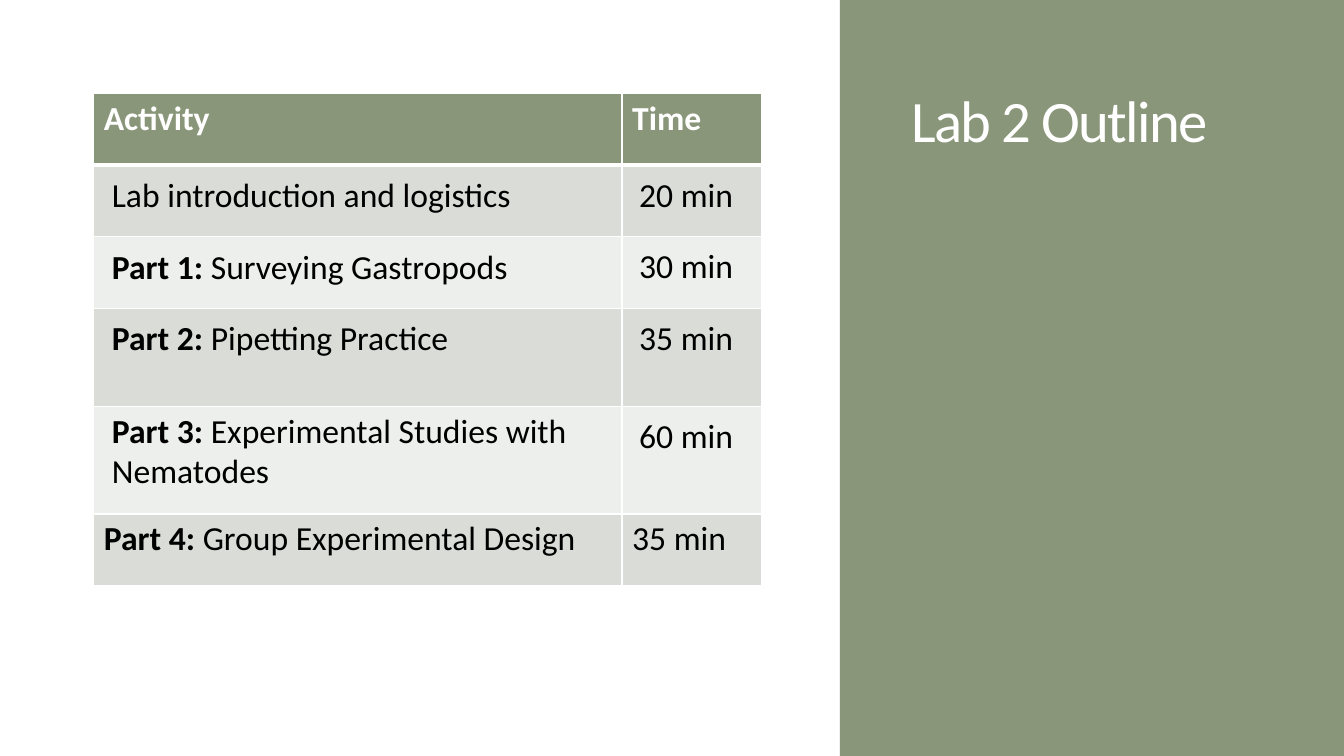
import pptx
import pptx.util
import pptx.dml.color
import pptx.enum.shapes
import pptx.enum.text
import pptx.oxml
import pptx.oxml.ns

TITLE = "Lab 2 Outline"
HEAD = ("Activity", "Time")
# bold lead, activity, time, row height, indent, line spacing of each column
ROWS = [
    ("", "Lab introduction and logistics", "20 min", 0.71, (0.08, 0.07), (1.13, 1.13)),
    ("Part 1: ", "Surveying Gastropods", "30 min", 0.71, (0.08, 0.07), (1.13, 1.12)),
    ("Part 2: ", "Pipetting Practice", "35 min", 0.97, (0.08, 0.07), (1.13, 1.12)),
    ("Part 3: ", "Experimental Studies with Nematodes", "60 min", 1.07, (0.08, 0.07), (0.98, 1.13)),
    ("Part 4:", " Group Experimental Design", "35 min", 0.71, (0, 0), (1, 1)),
]
HEAD_H = 0.71
COLS = (5.24, 1.38)
WIDE, HIGH = 13.33, 7.5
SPLIT = WIDE * 0.625
GREEN, WHITE, BLACK = "899679", "FFFFFF", "000000"
BANDS = ("DADDD7", "EDEFEC")
FONT = "Calibri"

inch = pptx.util.Inches


def paint(fill, tone):
    fill.solid()
    fill.fore_color.rgb = pptx.dml.color.RGBColor.from_string(tone)


def write(para, text, tone, **form):
    run = para.add_run()
    run.text = text
    for key, val in {"name": FONT, **form}.items():
        setattr(run.font, key, val)
    paint(run.font.fill, tone)
    return run


def edge(cell, sides):
    """Draw white cell borders; sides maps a side letter to points."""
    props = cell._tc.get_or_add_tcPr()
    for spot, side in enumerate("LRTB"):
        wide = int(pptx.util.Pt(sides[side]))
        line = pptx.oxml.parse_xml(
            f'<a:ln{side} {pptx.oxml.ns.nsdecls("a")} w="{wide}">'
            f'<a:solidFill><a:srgbClr val="{WHITE}"/></a:solidFill></a:ln{side}>')
        props.insert(spot, line)


def add_panel(slide):
    panel = slide.shapes.add_shape(
        pptx.enum.shapes.MSO_SHAPE.RECTANGLE,
        inch(SPLIT), 0, inch(WIDE - SPLIT), inch(HIGH))
    panel.shadow.inherit = False
    paint(panel.fill, GREEN)
    panel.line.fill.background()
    slide.shapes._spTree.insert(2, panel._element)


def add_title(slide):
    title = slide.shapes.title
    box = {"left": 8.94, "top": 0.46, "width": 3.72, "height": 1.1}
    for key, val in box.items():
        setattr(title, key, inch(val))
    frame = title.text_frame
    frame.auto_size = pptx.enum.text.MSO_AUTO_SIZE.NONE
    frame.vertical_anchor = pptx.enum.text.MSO_ANCHOR.BOTTOM
    frame.word_wrap = True
    para = frame.paragraphs[0]
    para.alignment = pptx.enum.text.PP_ALIGN.LEFT
    para.line_spacing = 0.65
    run = write(para, TITLE, WHITE, size=pptx.util.Pt(41.9))
    run._r.get_or_add_rPr().set("spc", "-120")


def add_plan(slide):
    highs = [HEAD_H] + [row[3] for row in ROWS]
    table = slide.shapes.add_table(
        len(highs), len(COLS), inch(0.93), inch(0.93),
        inch(sum(COLS)), inch(sum(highs))).table
    for col, wide in zip(table.columns, COLS):
        col.width = inch(wide)
    for row, high in zip(table.rows, highs):
        row.height = inch(high)

    size = pptx.util.Pt(24)
    for c, text in enumerate(HEAD):
        cell = table.cell(0, c)
        paint(cell.fill, GREEN)
        edge(cell, {"L": 0.96, "R": 0.96, "T": 0.96, "B": 3})
        write(cell.text_frame.paragraphs[0], text, WHITE, size=size, bold=True)

    for r, (lead, task, time, _, dents, gaps) in enumerate(ROWS, 1):
        for c, parts in enumerate((((lead, True), (task, False)), ((time, False),))):
            cell = table.cell(r, c)
            paint(cell.fill, BANDS[(r - 1) % 2])
            edge(cell, {"L": 0.96, "R": 0.96, "T": 3 if r == 1 else 0.96, "B": 0.96})
            para = cell.text_frame.paragraphs[0]
            para.line_spacing = gaps[c]
            para._p.get_or_add_pPr().set("marL", str(int(inch(dents[c]))))
            for text, bold in parts:
                if text:
                    write(para, text, BLACK, size=size, bold=bold)


def main():
    deck = pptx.Presentation()
    deck.slide_width, deck.slide_height = inch(WIDE), inch(HIGH)
    slide = deck.slides.add_slide(deck.slide_layouts[5])
    add_panel(slide)
    add_title(slide)
    add_plan(slide)
    deck.save("out.pptx")


if __name__ == "__main__":
    main()
